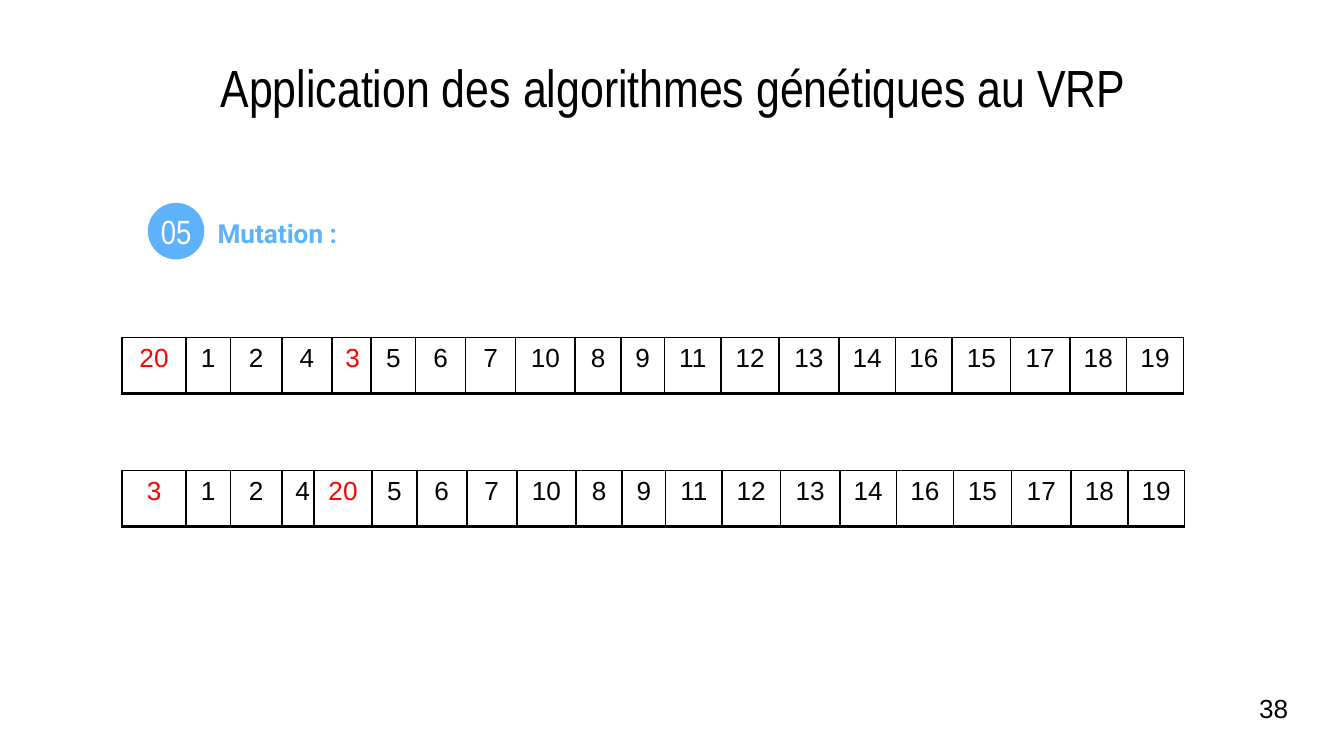
from pptx import Presentation
from pptx.dml.color import RGBColor
from pptx.enum.shapes import MSO_SHAPE
from pptx.enum.text import MSO_ANCHOR, PP_ALIGN
from pptx.oxml import parse_xml
from pptx.oxml.ns import nsdecls
from pptx.util import Inches, Pt

BLACK, WHITE, RED, BLUE = "000000", "FFFFFF", "FF0000", "5EB2FC"
MUTATED = (0, 4)
PARENT = [20, 1, 2, 4, 3, 5, 6, 7, 10, 8, 9, 11, 12, 13, 14, 16, 15, 17, 18, 19]
PARENT_WIDTHS = [0.47, 0.33, 0.38, 0.37, 0.29, 0.33, 0.37, 0.37, 0.44, 0.34,
                 0.32, 0.42, 0.43, 0.44, 0.42, 0.42, 0.43, 0.44, 0.42, 0.42]
CHROMOSOME_WIDTH = 7.9
BORDERS = {"lnL": 1, "lnR": 1, "lnT": 1, "lnB": 2}


def rgb(color):
    return RGBColor.from_string(color)


def write(frame, text, size, font, color, align=PP_ALIGN.LEFT, bold=False):
    paragraph = frame.paragraphs[0]
    paragraph.text = text
    paragraph.alignment = align
    paragraph.font.size = Pt(size)
    paragraph.font.name = font
    paragraph.font.bold = bold
    paragraph.font.color.rgb = rgb(color)


def set_insets(frame, inset):
    frame.margin_left = frame.margin_right = Inches(inset)
    frame.margin_top = frame.margin_bottom = Inches(inset)


def set_title(slide, text):
    title = slide.shapes.title
    title.left, title.top = Inches(0.78), Inches(0.38)
    title.width, title.height = Inches(8.45), Inches(0.53)
    set_insets(title.text_frame, 0.1)
    title.text_frame.vertical_anchor = MSO_ANCHOR.MIDDLE
    write(title.text_frame, text, 28, "Arial Narrow", BLACK, PP_ALIGN.CENTER)


def add_badge(slide, number):
    badge = slide.shapes.add_shape(MSO_SHAPE.OVAL, Inches(1.1), Inches(1.51),
                                   Inches(0.42), Inches(0.42))
    badge.shadow.inherit = False
    badge.fill.solid()
    badge.fill.fore_color.rgb = rgb(BLUE)
    badge.line.fill.background()
    set_insets(badge.text_frame, 0)
    badge.text_frame.word_wrap = False
    badge.text_frame.vertical_anchor = MSO_ANCHOR.MIDDLE
    write(badge.text_frame, number, 18, "Arial Narrow", WHITE, PP_ALIGN.CENTER)


def add_label(slide, left, top, width, height, text, font, color, bold=False):
    label = slide.shapes.add_textbox(Inches(left), Inches(top),
                                     Inches(width), Inches(height))
    label.text_frame.word_wrap = True
    write(label.text_frame, text, 14, font, color, bold=bold)
    return label


def add_borders(cell):
    properties = cell._tc.get_or_add_tcPr()
    for position, (side, points) in enumerate(BORDERS.items()):
        properties.insert(position, parse_xml(
            f'<a:{side} {nsdecls("a")} w="{Pt(points)}"><a:solidFill>'
            f'<a:srgbClr val="{BLACK}"/></a:solidFill></a:{side}>'))


def add_chromosome(slide, top, genes, widths):
    """Draw one row of genes, scaled to full width, mutated positions in red."""
    scale = CHROMOSOME_WIDTH / sum(widths)
    table = slide.shapes.add_table(1, len(genes), Inches(0.91), Inches(top),
                                   Inches(CHROMOSOME_WIDTH), Inches(0.42)).table
    table.first_row = table.horz_banding = False
    for position, (gene, width) in enumerate(zip(genes, widths)):
        table.columns[position].width = Inches(width * scale)
        cell = table.cell(0, position)
        cell.fill.background()
        add_borders(cell)
        color = RED if position in MUTATED else BLACK
        write(cell.text_frame, str(gene), 14, "Arial", color, PP_ALIGN.CENTER)


def main():
    presentation = Presentation()
    presentation.slide_width = Inches(10)
    presentation.slide_height = Inches(10 * 9 / 16)
    slide = presentation.slides.add_slide(presentation.slide_layouts[5])

    add_badge(slide, "05")
    heading = add_label(slide, 1.52, 1.52, 2.09, 0.42, "Mutation :",
                        "Roboto", BLUE, bold=True)
    set_insets(heading.text_frame, 0.1)

    first, second = MUTATED
    child = PARENT.copy()
    child[first], child[second] = PARENT[second], PARENT[first]
    child_widths = PARENT_WIDTHS.copy()
    child_widths[3:5] = [0.23, 0.43]
    add_chromosome(slide, 2.51, PARENT, PARENT_WIDTHS)
    add_chromosome(slide, 3.5, child, child_widths)

    set_title(slide, "Application des algorithmes génétiques au VRP")
    add_label(slide, 9.27, 5.1, 0.6, 0.43, "38", "Arial", BLACK)
    presentation.save("out.pptx")


if __name__ == "__main__":
    main()
